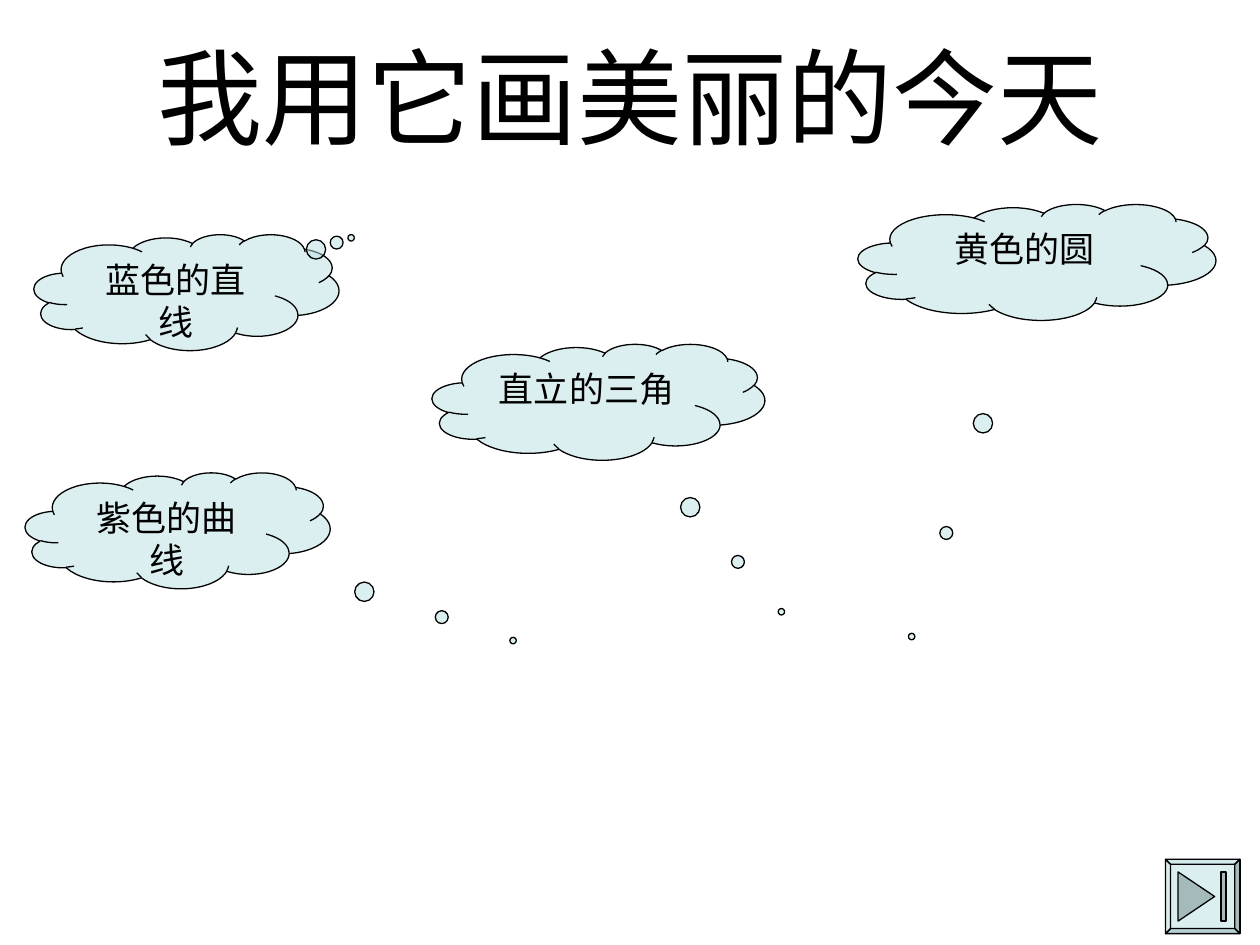
from dataclasses import dataclass

from lxml import etree
from pptx import Presentation
from pptx.dml.color import RGBColor
from pptx.enum.shapes import MSO_SHAPE
from pptx.enum.text import MSO_ANCHOR, PP_ALIGN
from pptx.oxml.ns import qn
from pptx.util import Inches, Pt

CLOUD = MSO_SHAPE.CLOUD_CALLOUT
CENTER = PP_ALIGN.CENTER
TOP, MIDDLE = MSO_ANCHOR.TOP, MSO_ANCHOR.MIDDLE


@dataclass(frozen=True)
class Theme:
    ink: str = "000000"
    aqua: str = "BBE0E3"
    aqua_light: str = "D6ECEE"
    aqua_pale: str = "C9E6E9"
    aqua_dim: str = "96B3B6"
    aqua_dark: str = "708688"
    opacity: int = 50
    line_width: float = 0.75
    title_font: str = "Arial"
    title_size: int = 60
    cloud_font: str = "Times New Roman"
    cloud_size: int = 20


THEME = Theme()


def paint(shape, color):
    """Half-transparent fill with a thin dark outline."""
    shape.shadow.inherit = False
    shape.fill.solid()
    shape.fill.fore_color.rgb = RGBColor.from_string(color)
    tint = shape.fill._xPr.find(qn("a:solidFill"))[0]
    etree.SubElement(tint, qn("a:alpha"), val=str(THEME.opacity * 1000))
    shape.line.color.rgb = RGBColor.from_string(THEME.ink)
    shape.line.width = Pt(THEME.line_width)


def write(shape, words, font, size, anchor):
    frame = shape.text_frame
    frame.word_wrap = True
    frame.vertical_anchor = anchor
    paragraph = frame.paragraphs[0]
    paragraph.alignment = CENTER
    run = paragraph.add_run()
    run.text = words
    run.font.name = font
    run.font.size = Pt(size)
    run.font.color.rgb = RGBColor.from_string(THEME.ink)


def add_title(slide, box, words):
    title = slide.shapes.add_textbox(*map(Inches, box))
    write(title, words, THEME.title_font, THEME.title_size, MIDDLE)


def add_thought(slide, box, words, tail):
    """Cloud whose bubbles lead to tail, a share of the box from its centre."""
    cloud = slide.shapes.add_shape(CLOUD, *map(Inches, box))
    cloud.adjustments[0], cloud.adjustments[1] = tail
    paint(cloud, THEME.aqua)
    write(cloud, words, THEME.cloud_font, THEME.cloud_size, TOP)


def add_end_button(slide, box):
    """Bevelled button with a skip-to-end sign."""
    left, top, width, height = box
    right, bottom = left + width, top + height
    bevel = 0.04
    outer = [(left, top), (right, top), (right, bottom), (left, bottom)]
    inner = [(left + bevel, top + bevel), (right - bevel, top + bevel),
             (right - bevel, bottom - bevel), (left + bevel, bottom - bevel)]
    pieces = [(outer, THEME.aqua)]

    # Bevels: top, right, bottom, left
    shades = (THEME.aqua_pale, THEME.aqua_dark, THEME.aqua_dim, THEME.aqua_light)
    for side, shade in enumerate(shades):
        after = (side + 1) % 4
        pieces.append(([outer[side], outer[after], inner[after], inner[side]], shade))

    # Sign: arrow and end bar
    sign_top, sign_bottom = top + 0.1, bottom - 0.1
    arrow = [(left + 0.1, sign_top), (left + 0.39, top + height / 2),
             (left + 0.1, sign_bottom)]
    bar = [(left + 0.44, sign_top), (left + 0.48, sign_top),
           (left + 0.48, sign_bottom), (left + 0.44, sign_bottom)]
    pieces += [(arrow, THEME.aqua_dark), (bar, THEME.aqua_dark)]

    for corners, color in pieces:
        points = [(Inches(x), Inches(y)) for x, y in corners]
        outline = slide.shapes.build_freeform(*points[0])
        outline.add_line_segments(points[1:], close=True)
        paint(outline.convert_to_shape(), color)


def main():
    deck = Presentation()
    deck.slide_width, deck.slide_height = Inches(10), Inches(7.5)
    slide = deck.slides.add_slide(deck.slide_layouts[6])

    add_title(slide, (0.75, 0.13, 8.5, 1.25), "我用它画美丽的今天")

    thoughts = [
        ((0.27, 1.86, 2.42, 0.92), "蓝色的直线", (0.54, -0.47)),
        ((0.2, 3.75, 2.42, 0.92), "紫色的曲线", (1.1, 0.95)),
        ((6.81, 1.62, 2.84, 0.92), "黄色的圆", (-0.35, 3.23)),
        ((3.43, 2.73, 2.64, 0.92), "直立的三角", (0.55, 1.81)),
    ]
    for box, words, tail in thoughts:
        add_thought(slide, box, words, tail)

    add_end_button(slide, (9.25, 6.82, 0.59, 0.59))
    deck.save("out.pptx")


if __name__ == "__main__":
    main()
